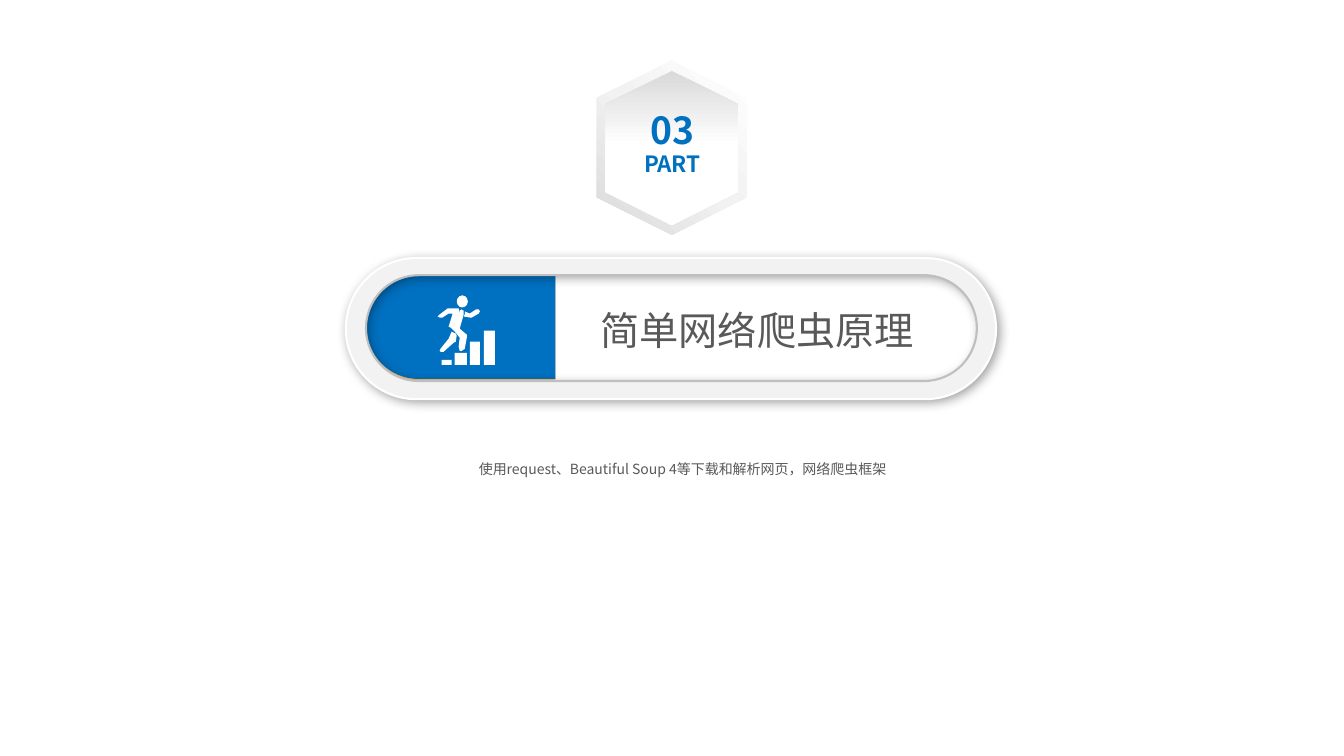
from dataclasses import dataclass
from math import cos, pi, sin

from lxml import etree
from pptx import Presentation
from pptx.dml.color import RGBColor
from pptx.enum.shapes import MSO_SHAPE
from pptx.enum.text import MSO_ANCHOR, MSO_AUTO_SIZE, PP_ALIGN
from pptx.oxml.ns import qn
from pptx.util import Emu, Inches, Pt

CENTER = PP_ALIGN.CENTER
TOP, MIDDLE = MSO_ANCHOR.TOP, MSO_ANCHOR.MIDDLE
HEXAGON, PILL = MSO_SHAPE.HEXAGON, MSO_SHAPE.ROUNDED_RECTANGLE
OVAL, RECTANGLE = MSO_SHAPE.OVAL, MSO_SHAPE.RECTANGLE
SLIDE_WIDTH, SLIDE_HEIGHT = Inches(13.33), Inches(7.5)
ICON_CELL = SLIDE_WIDTH * 0.00075
ARC_STEPS = 32

Point = tuple[float, float]


@dataclass(frozen=True)
class Theme:
    font: str = "Noto Sans CJK SC"
    blue: str = "0070C0"
    amber: str = "FFB850"
    ink: str = "595959"
    white: str = "FFFFFF"
    ring: str = "F2F2F2"
    silver: str = "D9D9D9"
    rim: str = "BFBFBF"
    title_size: float = 28
    number_size: float = 26.6
    part_size: float = 16
    summary_size: float = 10


@dataclass(frozen=True)
class Frame:
    """A box in percent of the slide's width and height."""
    left: float
    top: float
    width: float
    height: float

    def emu(self) -> tuple[Emu, Emu, Emu, Emu]:
        across, down = SLIDE_WIDTH / 100, SLIDE_HEIGHT / 100
        return (Emu(round(self.left * across)), Emu(round(self.top * down)),
                Emu(round(self.width * across)), Emu(round(self.height * down)))


@dataclass(frozen=True)
class Badge:
    frame: Frame
    stops: tuple[tuple[int, str], ...]
    angle: int


@dataclass(frozen=True)
class Label:
    text: str
    frame: Frame
    size: float


THEME = Theme()
TITLE = Frame(42.83, 39.87, 27, 7.6)
SUMMARY = Frame(9.83, 59.07, 81.9, 4.27)
RING = Frame(25.73, 34.13, 48.38, 18.67)
WELL = Frame(27.23, 36.4, 45.45, 14)
PANELS = ((Frame(27.23, 36.4, 14.1, 14), THEME.amber),
          (Frame(27.23, 36.13, 14.1, 14), THEME.blue))
RIMS = ((WELL, THEME.rim), (RING, THEME.white))
BADGES = (
    Badge(Frame(43.5, 9.6, 12.98, 19.87),
          ((0, THEME.white), (50, THEME.ring), (100, THEME.silver)), 45),
    Badge(Frame(44.25, 10.8, 11.48, 17.6),
          ((0, THEME.silver), (48, THEME.white)), 0),
)
LABELS = (Label("03", Frame(44.78, 13.6, 10.5, 7.33), THEME.number_size),
          Label("PART", Frame(44.78, 19.2, 10.5, 4.93), THEME.part_size))

# The climber is laid out in icon cells; each bar is (left, width, height).
ICON = Frame(32.56, 39.07, 4.28, 9.2)
BASELINE = 69
BARS = ((4, 10, 5), (17, 12, 12), (32, 10, 23), (46, 11, 34))
HEAD = (19, 0, 11, 12)
BACK_LEG = [(16, 37), (14, 36), (11, 43), (3, 53), (2, 55), (3, 56), (6, 56),
            (16, 47), (18, 46), (19, 40), (18, 38)]
FRONT_ARM = [(34, 22), (41, 18), (42, 16), (41, 14), (38, 14), (32, 18),
             (27, 16), (27, 19), (26, 21), (32, 22)]
BODY = [(22, 33), (26, 19), (26, 15), (25, 15), (24, 21), (25, 15), (24, 14),
        (22, 15), (22, 20), (21, 13), (10, 13), (2, 19), (0, 21), (2, 22),
        (5, 22), (11, 18), (15, 18), (11, 31), (13, 32), (18, 37), (22, 42),
        (21, 51), (22, 55), (24, 55), (27, 53), (29, 42), (29, 39)]


def paint(shape, fill: str | None = None, line: str | None = None) -> None:
    shape.shadow.inherit = False
    if fill:
        shape.fill.solid()
        shape.fill.fore_color.rgb = RGBColor.from_string(fill)
    else:
        shape.fill.background()
    if line:
        shape.line.color.rgb = RGBColor.from_string(line)
        shape.line.width = Pt(1.5)
    else:
        shape.line.fill.background()


def write_text(box, text: str, *, size: float, color: str, bold: bool = False,
               anchor=TOP, spacing: float = 1.0) -> None:
    frame = box.text_frame
    frame.word_wrap, frame.auto_size = True, MSO_AUTO_SIZE.NONE
    frame.vertical_anchor = anchor
    para = frame.paragraphs[0]
    para.alignment, para.line_spacing, para.space_before = CENTER, spacing, Pt(0)
    span = para.add_run()
    span.text = text
    span.font.name, span.font.size, span.font.bold = THEME.font, Pt(size), bold
    span.font.color.rgb = RGBColor.from_string(color)
    latin = span.font._element.find(qn("a:latin"))
    east_asian = etree.Element(qn("a:ea"), typeface=THEME.font)
    latin.addnext(east_asian)


def fill_placeholder(box, frame: Frame, text: str, **style) -> None:
    box.left, box.top, box.width, box.height = frame.emu()
    write_text(box, text, **style)


def stadium(frame: Frame, round_right: bool = True) -> list[Point]:
    """Outline, clockwise from the lower left, of a bar with rounded ends."""
    left, top, width, height = frame.emu()
    radius = height / 2

    def arc(center: float, start: float) -> list[Point]:
        angles = [start + pi * step / ARC_STEPS for step in range(ARC_STEPS + 1)]
        return [(center + radius * cos(a), top + radius + radius * sin(a))
                for a in angles]

    right = left + width
    right_end = (arc(right - radius, -pi / 2) if round_right
                 else [(right, top), (right, top + height)])
    return arc(left + radius, pi / 2) + right_end


def draw_outline(page, contours: list[list[Point]], fill: str,
                 origin: Point = (0, 0), scale: float = 1.0):
    first, *others = contours
    builder = page.shapes.build_freeform(*first[0], scale=scale)
    builder.add_line_segments(first[1:], close=True)
    for contour in others:
        builder.move_to(*contour[0])
        builder.add_line_segments(contour[1:], close=True)
    shape = builder.convert_to_shape(*origin)
    paint(shape, fill)
    return shape


def cast_shadow(shape) -> None:
    effects = shape._element.spPr.find(qn("a:effectLst"))
    shadow = etree.SubElement(effects, qn("a:outerShdw"), blurRad=str(Pt(8)),
                              dist=str(Pt(2)), dir=str(45 * 60000),
                              algn="tl", rotWithShape="0")
    color = etree.SubElement(shadow, qn("a:srgbClr"), val="000000")
    etree.SubElement(color, qn("a:alpha"), val="40000")


def draw_badge(page, badge: Badge) -> None:
    shape = page.shapes.add_shape(HEXAGON, *badge.frame.emu())
    shape.rotation = 90
    paint(shape)
    blank = shape._element.spPr.find(qn("a:noFill"))
    gradient = etree.Element(qn("a:gradFill"), rotWithShape="1")
    stops = etree.SubElement(gradient, qn("a:gsLst"))
    for position, color in badge.stops:
        stop = etree.SubElement(stops, qn("a:gs"), pos=str(position * 1000))
        etree.SubElement(stop, qn("a:srgbClr"), val=color)
    etree.SubElement(gradient, qn("a:lin"), ang=str(badge.angle * 60000), scaled="0")
    blank.getparent().replace(blank, gradient)


def draw_climber(page) -> None:
    left, top, _, _ = ICON.emu()
    bars = [(RECTANGLE, x, BASELINE - height, width, height)
            for x, width, height in BARS]
    for kind, x, y, width, height in [*bars, (OVAL, *HEAD)]:
        shape = page.shapes.add_shape(
            kind, Emu(round(left + x * ICON_CELL)), Emu(round(top + y * ICON_CELL)),
            Emu(round(width * ICON_CELL)), Emu(round(height * ICON_CELL)))
        paint(shape, THEME.white)
    for limb in (BACK_LEG, FRONT_ARM, BODY):
        draw_outline(page, [limb], THEME.white, (left, top), ICON_CELL)


def main() -> None:
    deck = Presentation()
    deck.slide_width, deck.slide_height = SLIDE_WIDTH, SLIDE_HEIGHT
    page = deck.slides.add_slide(deck.slide_layouts[0])
    fill_placeholder(page.shapes.title, TITLE, "简单网络爬虫原理",
                     size=THEME.title_size, color=THEME.ink, anchor=MIDDLE)
    fill_placeholder(page.placeholders[1], SUMMARY,
                     "使用request、Beautiful Soup 4等下载和解析网页，网络爬虫框架",
                     size=THEME.summary_size, color=THEME.ink, spacing=1.5)
    for frame, color in PANELS:
        draw_outline(page, [stadium(frame, round_right=False)], color)
    draw_climber(page)
    cast_shadow(draw_outline(page, [stadium(RING), stadium(WELL)[::-1]], THEME.ring))
    for frame, color in RIMS:
        rim = page.shapes.add_shape(PILL, *frame.emu())
        rim.adjustments[0] = 0.5
        paint(rim, line=color)
    for badge in BADGES:
        draw_badge(page, badge)
    for label in LABELS:
        box = page.shapes.add_textbox(*label.frame.emu())
        write_text(box, label.text, size=label.size, color=THEME.blue, bold=True)
    deck.save("out.pptx")


if __name__ == "__main__":
    main()
